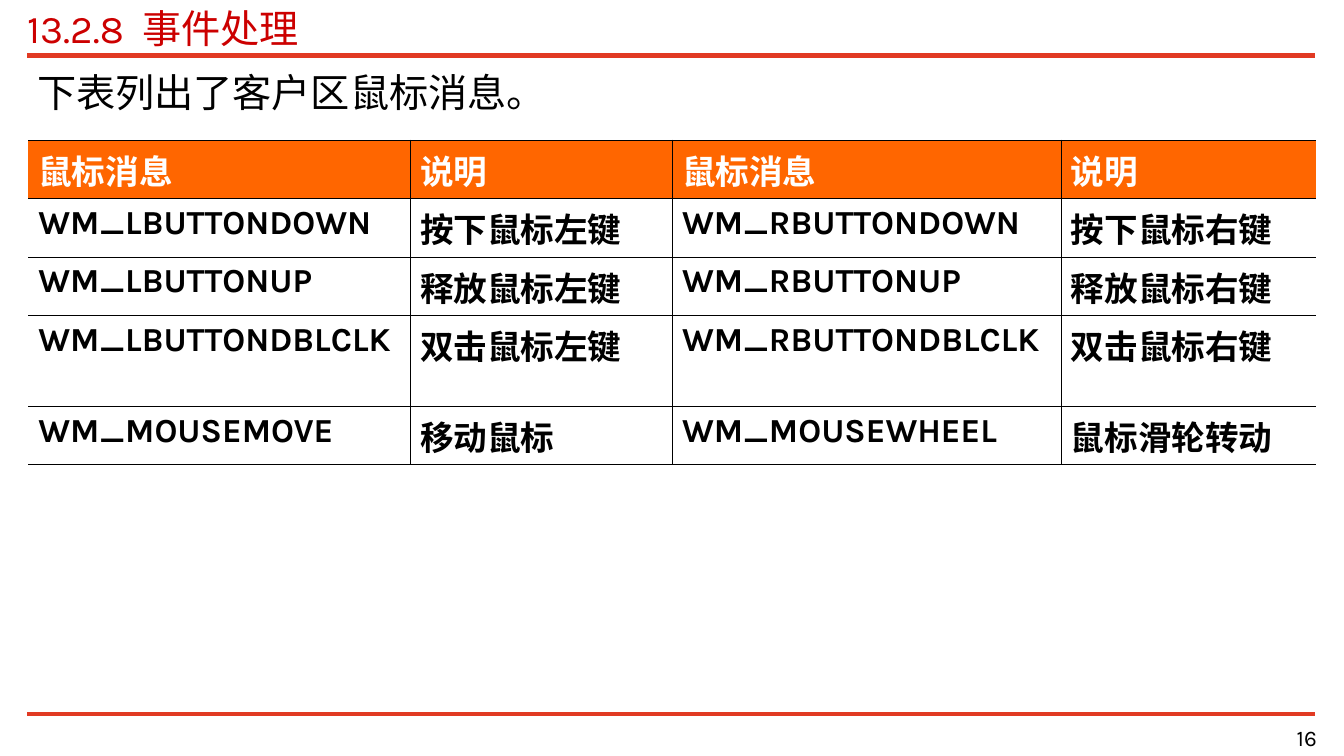
import pptx
import pptx.dml.color
import pptx.enum.shapes
import pptx.enum.text
import pptx.oxml.ns
import pptx.util
from lxml import etree

Inches = pptx.util.Inches
MIDDLE = pptx.enum.text.MSO_ANCHOR.MIDDLE
RIGHT = pptx.enum.text.PP_ALIGN.RIGHT

FONT = "Karla"
BLACK, WHITE, ORANGE, RULE_RED, TITLE_RED = "000000", "FFFFFF", "FF6600", "E13A23", "CC0000"
LEFT, WIDTH = 0.27, 12.78

COLUMN_WIDTHS = [3.79, 2.6, 3.86, 2.53]
ROW_HEIGHTS = [0.58, 0.58, 0.58, 0.9, 0.58]
MOUSE_MESSAGES = [
    ["鼠标消息", "说明", "鼠标消息", "说明"],
    ["WM_LBUTTONDOWN", "按下鼠标左键", "WM_RBUTTONDOWN", "按下鼠标右键"],
    ["WM_LBUTTONUP", "释放鼠标左键", "WM_RBUTTONUP", "释放鼠标右键"],
    ["WM_LBUTTONDBLCLK", "双击鼠标左键", "WM_RBUTTONDBLCLK", "双击鼠标右键"],
    ["WM_MOUSEMOVE", "移动鼠标", "WM_MOUSEWHEEL", "鼠标滑轮转动"],
]


def color(hex_string):
    return pptx.dml.color.RGBColor.from_string(hex_string)


def add_element(parent, tag, **attributes):
    return etree.SubElement(parent, pptx.oxml.ns.qn(tag), **attributes)


def write_text(text_frame, text, size=24, fill=BLACK, bold=False, align=None):
    paragraph = text_frame.paragraphs[0]
    paragraph.alignment = align
    run = paragraph.add_run()
    run.text = text
    run.font.name = FONT
    run.font.size = pptx.util.Pt(size)
    run.font.bold = bold
    run.font.color.rgb = color(fill)


def add_text_box(slide, box, text, margins=(0, 0), anchor=None, **text_format):
    """Add a text box; margins are (horizontal, vertical) in inches."""
    text_frame = slide.shapes.add_textbox(*map(Inches, box)).text_frame
    text_frame.word_wrap = True
    text_frame.margin_left = text_frame.margin_right = Inches(margins[0])
    text_frame.margin_top = text_frame.margin_bottom = Inches(margins[1])
    text_frame.vertical_anchor = anchor
    write_text(text_frame, text, **text_format)


def add_rule(slide, left, top, width, weight):
    connector = slide.shapes.add_connector(
        pptx.enum.shapes.MSO_CONNECTOR.STRAIGHT,
        Inches(left), Inches(top), Inches(left + width), Inches(top))
    connector.line.color.rgb = color(RULE_RED)
    connector.line.width = pptx.util.Pt(weight)
    add_element(connector._element.spPr, "a:effectLst")


def set_border(cell, side, weight):
    """Draw one cell side in black, or hide it when weight is 0."""
    line = add_element(cell._tc.get_or_add_tcPr(), f"a:ln{side}",
                       w=str(int(pptx.util.Pt(weight))))
    if weight:
        add_element(add_element(line, "a:solidFill"), "a:srgbClr", val=BLACK)
    else:
        add_element(line, "a:noFill")


def add_header(slide, left, top, width, height):
    add_rule(slide, left, top + 0.51, width, 4)
    add_text_box(slide, (left, top, width, height), "13.2.8  事件处理",
                 size=28, fill=TITLE_RED)


def add_message_table(slide, left, top):
    row_count, column_count = len(ROW_HEIGHTS), len(COLUMN_WIDTHS)
    table = slide.shapes.add_table(
        row_count, column_count, Inches(left), Inches(top),
        Inches(sum(COLUMN_WIDTHS)), Inches(sum(ROW_HEIGHTS))).table
    table.horz_banding = False
    for column, width in zip(table.columns, COLUMN_WIDTHS):
        column.width = Inches(width)
    for row, height in zip(table.rows, ROW_HEIGHTS):
        row.height = Inches(height)

    thin, thick = 0.45, 0.62
    for row_index, texts in enumerate(MOUSE_MESSAGES):
        is_header = row_index == 0
        for column_index, text in enumerate(texts):
            cell = table.cell(row_index, column_index)
            set_border(cell, "L", thin if column_index else 0)
            set_border(cell, "R", thin if column_index < column_count - 1 else 0)
            set_border(cell, "T", thick if row_index <= 1 else thin)
            set_border(cell, "B", thick if row_index in (0, row_count - 1) else thin)
            if is_header:
                cell.fill.solid()
                cell.fill.fore_color.rgb = color(ORANGE)
            else:
                cell.fill.background()
            write_text(cell.text_frame, text, bold=True,
                       fill=WHITE if is_header else BLACK)


def add_body(slide, left, top, width, height):
    add_message_table(slide, left + 0.01, top + 0.76)
    add_text_box(slide, (left, top, width, height), "下表列出了客户区鼠标消息。",
                 margins=(0.1, 0.05), size=28)


def add_footer(slide, left, top, width, height):
    add_rule(slide, left, top, width, 3)
    number_width = 2.68
    add_text_box(slide, (left + width - number_width + 0.02, top + 0.08, number_width, height),
                 "16", size=16, align=RIGHT, anchor=MIDDLE)


def main():
    presentation = pptx.Presentation()
    presentation.slide_width = Inches(13.34)
    presentation.slide_height = Inches(7.5)
    slide = presentation.slides.add_slide(presentation.slide_layouts[6])
    add_header(slide, LEFT, 0.04, WIDTH, 0.47)
    add_body(slide, LEFT, 0.63, WIDTH, 6.35)
    add_footer(slide, LEFT, 7.08, WIDTH, 0.31)
    presentation.save("out.pptx")


if __name__ == "__main__":
    main()
